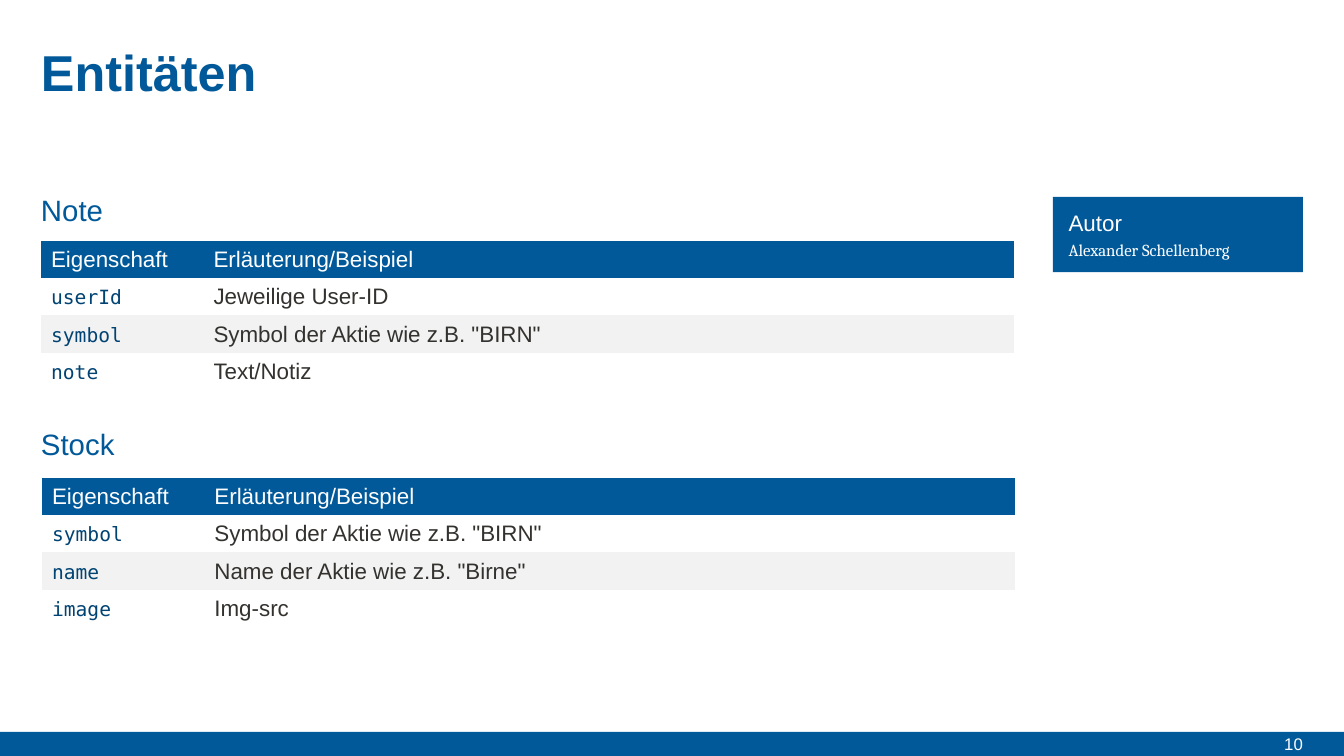
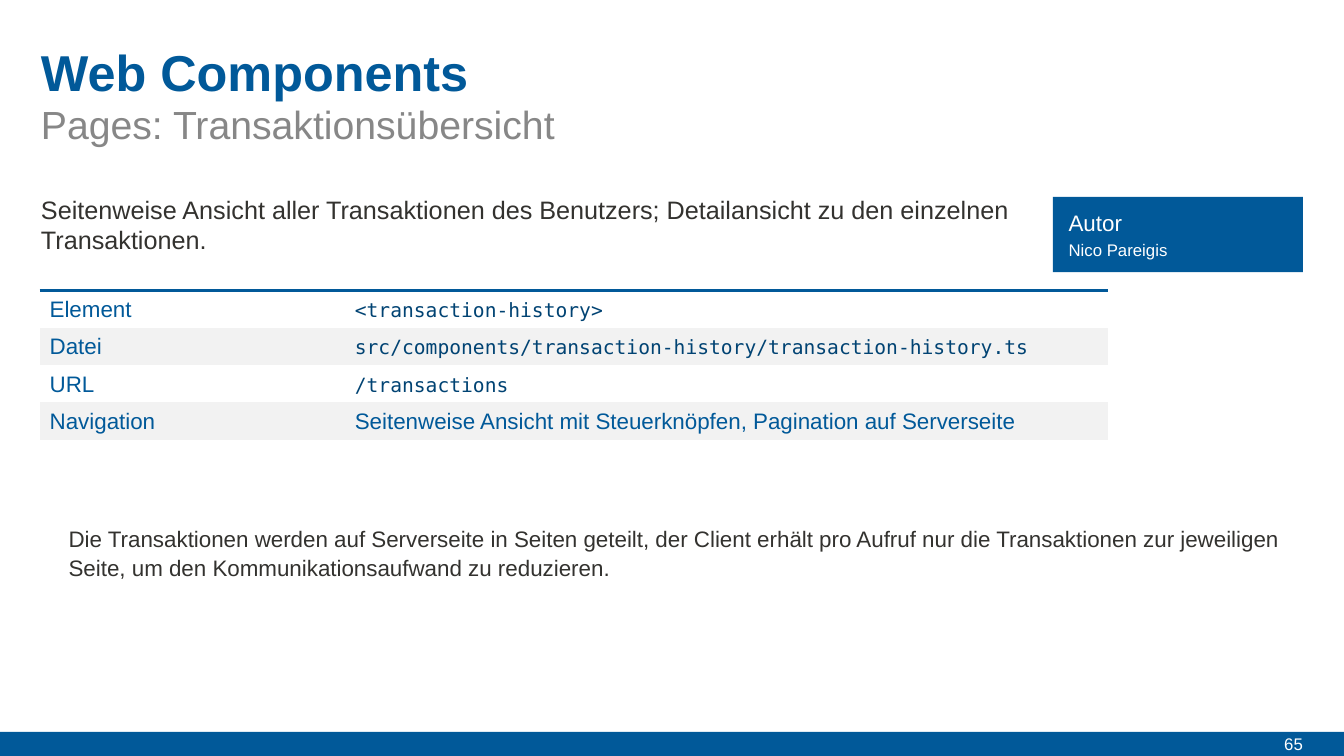
from lxml.etree import SubElement
from pptx import Presentation
from pptx.dml.color import RGBColor
from pptx.enum.shapes import MSO_SHAPE
from pptx.enum.text import MSO_ANCHOR, PP_ALIGN
from pptx.oxml.ns import qn
from pptx.util import Pt

# Shared look
BLUE, NAVY, DARK, GREY = "015999", "014373", "33322F", "878787"
WHITE, STRIPE = "FFFFFF", "F2F2F2"
SANS, SERIF, MONO = "Arial", "Cambria", "DejaVu Sans Mono"
LEFT, CONTENT_WIDTH = 29.3, 695
ROW_HEIGHT = 26.64
NO_GRID_STYLE = "{2D5ABB26-0587-4C30-8999-92F81FD0307C}"
CELL_STYLES = {  # size, colour, font
    "head": (16, WHITE, SANS),
    "label": (16, BLUE, SANS),
    "code": (14, NAVY, MONO),
    "body": (16, DARK, SANS),
}


def write(frame, text, size, colour, font=SANS, spacing=None):
    para = frame.paragraphs[0]
    para.text = text
    para.line_spacing = spacing
    para.font.size = Pt(size)
    para.font.name = font
    para.font.color.rgb = RGBColor.from_string(colour)
    return para


def add_text(page, left, top, width, height, *style):
    box = page.shapes.add_textbox(Pt(left), Pt(top), Pt(width), Pt(height))
    frame = box.text_frame
    frame.word_wrap = True
    frame.margin_left = frame.margin_right = frame.margin_top = frame.margin_bottom = 0
    return write(frame, *style), frame


# Content: texts are (left, top, width, height, text, size, colour, font, spacing)
heading = ("Eigenschaft", "Erläuterung/Beispiel")
note_rows = [
    ("userId", "Jeweilige User-ID"),
    ("symbol", 'Symbol der Aktie wie z.B. "BIRN"'),
    ("note", "Text/Notiz"),
]
stock_rows = [
    ("symbol", 'Symbol der Aktie wie z.B. "BIRN"'),
    ("name", 'Name der Aktie wie z.B. "Birne"'),
    ("image", "Img-src"),
]
component_rows = [
    ("Element", "<transaction-history>"),
    ("Datei", "src/components/transaction-history/transaction-history.ts"),
    ("URL", "/transactions"),
    ("Navigation", "Seitenweise Ansicht mit Steuerknöpfen, Pagination auf Serverseite"),
]
entity_styles = [("head", "head")] + [("code", "body")] * 3
component_styles = [("label", "code")] * 3 + [("label", "label")]

pages = [
    {
        "title": "Entitäten",
        "number": "10",
        "author": ("Alexander Schellenberg", SERIF),
        "texts": [
            (LEFT, 137.5, CONTENT_WIDTH, 25, "Note", 21, BLUE, SANS, Pt(25)),
            (LEFT, 304.6, CONTENT_WIDTH, 25, "Stock", 21, BLUE, SANS, Pt(25)),
        ],
        "tables": [
            (LEFT, 172, (116, 579), [heading] + note_rows, entity_styles),
            (30, 341.3, (116, 579), [heading] + stock_rows, entity_styles),
        ],
    },
    {
        "title": "Web Components",
        "number": "65",
        "author": ("Nico Pareigis", SANS),
        "texts": [
            (LEFT, 68.4, CONTENT_WIDTH, 39.6, "Pages: Transaktionsübersicht", 28, GREY, SANS, 1.1),
            (LEFT, 138.2, CONTENT_WIDTH, 44,
             "Seitenweise Ansicht aller Transaktionen des Benutzers; "
             "Detailansicht zu den einzelnen Transaktionen.", 18, DARK, SANS, Pt(22)),
            (49, 373, 876, 41,
             "Die Transaktionen werden auf Serverseite in Seiten geteilt, der Client erhält "
             "pro Aufruf nur die Transaktionen zur jeweiligen Seite, um den "
             "Kommunikationsaufwand zu reduzieren.", 16, DARK, SANS, 1.1),
        ],
        "tables": [(28.3, 207.6, (218, 545), component_rows, component_styles)],
    },
]

deck = Presentation()
deck.slide_width, deck.slide_height = Pt(960), Pt(540)

for content in pages:
    page = deck.slides.add_slide(deck.slide_layouts[6])

    # Footer band and author panel
    for left, top, width, height in [(0, 522.7, 960, 17.3), (752, 140.6, 178.6, 53.8)]:
        band = page.shapes.add_shape(
            MSO_SHAPE.RECTANGLE, Pt(left), Pt(top), Pt(width), Pt(height))
        band.shadow.inherit = False
        band.fill.solid()
        band.fill.fore_color.rgb = RGBColor.from_string(BLUE)
        band.line.fill.background()

    number, frame = add_text(page, 877, 522.7, 53.6, 17.3, content["number"], 12, WHITE)
    number.alignment = PP_ALIGN.RIGHT
    frame.vertical_anchor = MSO_ANCHOR.MIDDLE

    author, author_font = content["author"]
    add_text(page, 763.3, 149.8, 156, 19, "Autor", 16, WHITE, SANS, Pt(19))
    add_text(page, 763.3, 171.4, 156, 14, author, 12, WHITE, author_font, Pt(14))

    # Title and running text
    title, frame = add_text(page, LEFT, 29.5, CONTENT_WIDTH, 44.6, content["title"], 36, BLUE)
    title.font.bold = True
    for text in content["texts"]:
        add_text(page, *text)

    # Tables
    for left, top, widths, rows, styles in content["tables"]:
        table = page.shapes.add_table(
            len(rows), len(widths), Pt(left), Pt(top),
            Pt(sum(widths)), Pt(ROW_HEIGHT * len(rows))).table
        table.first_row = table.horz_banding = False
        table._tbl.tblPr.find(qn("a:tableStyleId")).text = NO_GRID_STYLE
        for column, width in zip(table.columns, widths):
            column.width = Pt(width)
        for row_index, (row, row_styles) in enumerate(zip(rows, styles)):
            table.rows[row_index].height = Pt(ROW_HEIGHT)
            for column_index, (text, style) in enumerate(zip(row, row_styles)):
                cell = table.cell(row_index, column_index)
                write(cell.text_frame, text, *CELL_STYLES[style], Pt(19))
                fill = BLUE if style == "head" else STRIPE if row_index % 2 else WHITE
                if styles is entity_styles and style != "head":
                    fill = WHITE if row_index % 2 else STRIPE
                cell.fill.solid()
                cell.fill.fore_color.rgb = RGBColor.from_string(fill)

                # A table without a heading row opens with a blue rule
                if row_index == 0 and style != "head":
                    properties = cell._tc.get_or_add_tcPr()
                    rule = SubElement(properties, qn("a:lnT"), w=str(Pt(2)))
                    paint = SubElement(rule, qn("a:solidFill"))
                    SubElement(paint, qn("a:srgbClr"), val=BLUE)
                    properties.insert(0, rule)

deck.save("out.pptx")
